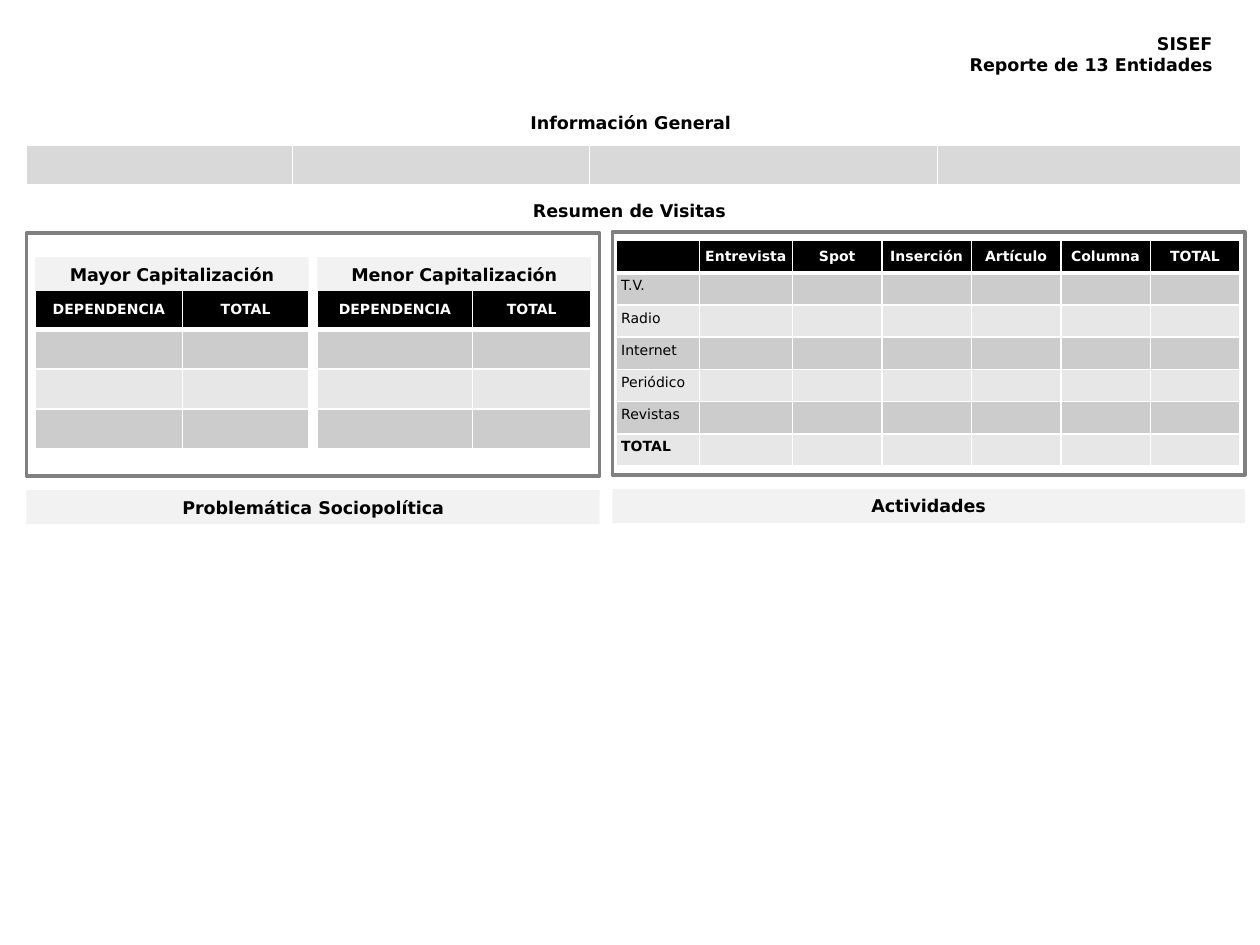
from lxml import etree
from pptx import Presentation
from pptx.dml.color import RGBColor
from pptx.enum.shapes import MSO_SHAPE
from pptx.enum.text import MSO_ANCHOR, PP_ALIGN
from pptx.oxml.ns import qn
from pptx.util import Inches, Pt

RECT = MSO_SHAPE.RECTANGLE
LEFT, CENTER, RIGHT = PP_ALIGN.LEFT, PP_ALIGN.CENTER, PP_ALIGN.RIGHT
TOP, MIDDLE = MSO_ANCHOR.TOP, MSO_ANCHOR.MIDDLE

BLACK = RGBColor(0x00, 0x00, 0x00)
WHITE = RGBColor(0xFF, 0xFF, 0xFF)
GRAY = RGBColor(0x80, 0x80, 0x80)
PALE = RGBColor(0xF2, 0xF2, 0xF2)
SILVER = RGBColor(0xD9, 0xD9, 0xD9)
BANDS = (RGBColor(0xCC, 0xCC, 0xCC), RGBColor(0xE7, 0xE7, 0xE7))

FONT = "DejaVu Sans"
TITLE_SIZE, CELL_SIZE = 10, 8
THIN, THICK = 1, 3
BAR_H = 0.27
LEFT_X, LEFT_W = 0.21, 4.55
RIGHT_X, RIGHT_W = 4.86, 5.02

MEDIA = ["T.V.", "Radio", "Internet", "Periódico", "Revistas", "TOTAL"]
KINDS = ["", "Entrevista", "Spot", "Inserción", "Artículo", "Columna", "TOTAL"]
RANKS = [
    ("Mayor Capitalización", 0.28, [1.17, 1.0]),
    ("Menor Capitalización", 2.52, [1.23, 0.94]),
]


def style(frame, size, color, bold, align):
    for para in frame.paragraphs:
        para.alignment = align
        for run in para.runs:
            font = run.font
            font.name, font.size, font.bold = FONT, Pt(size), bold
            font.color.rgb = color


def add_text(slide, text, x, y, w, h, align=CENTER):
    frame = slide.shapes.add_textbox(*map(Inches, (x, y, w, h))).text_frame
    frame.word_wrap = True
    frame.text = text
    style(frame, TITLE_SIZE, BLACK, True, align)


def add_rect(slide, x, y, w, h):
    shape = slide.shapes.add_shape(RECT, *map(Inches, (x, y, w, h)))
    shape.shadow.inherit = False
    return shape


def add_bar(slide, text, x, y, w):
    bar = add_rect(slide, x, y, w, BAR_H)
    bar.fill.solid()
    bar.fill.fore_color.rgb = PALE
    bar.line.fill.background()
    bar.text_frame.text = text
    style(bar.text_frame, TITLE_SIZE, BLACK, True, CENTER)


def add_frame(slide, x, y, w, h):
    box = add_rect(slide, x, y, w, h)
    box.fill.background()
    box.line.color.rgb = GRAY
    box.line.width = Pt(2)


def set_borders(cell, top, bottom):
    props = cell._tc.get_or_add_tcPr()
    sides = {"L": THIN, "R": THIN, "T": top, "B": bottom}
    for spot, (side, width) in enumerate(sides.items()):
        line = etree.Element(qn(f"a:ln{side}"), w=str(Pt(width)))
        fill = etree.SubElement(line, qn("a:solidFill"))
        etree.SubElement(fill, qn("a:srgbClr"), val=str(WHITE))
        props.insert(spot, line)


def fill_cell(cell, text, fill, color, bold, align, anchor):
    cell.margin_left = cell.margin_right = Inches(0.04)
    cell.margin_top = cell.margin_bottom = Inches(0.04)
    cell.vertical_anchor = anchor
    cell.fill.solid()
    cell.fill.fore_color.rgb = fill
    cell.text_frame.text = text
    style(cell.text_frame, CELL_SIZE, color, bold, align)
    if not text:
        # An empty cell needs its own text size, or its row grows
        etree.SubElement(cell.text_frame.paragraphs[0]._p,
                         qn("a:endParaRPr"), sz=str(CELL_SIZE * 100))


def add_grid(slide, x, y, widths, height, rows, head=BLACK):
    """Table with a head row over banded body rows."""
    table = slide.shapes.add_table(
        len(rows), len(widths), Inches(x), Inches(y),
        Inches(sum(widths)), Inches(height)).table
    table.first_row = table.horz_banding = False
    for col, width in zip(table.columns, widths):
        col.width = Inches(width)
    for r, row in enumerate(rows):
        table.rows[r].height = Inches(height / len(rows))
        for c, text in enumerate(row):
            cell = table.cell(r, c)
            if r == 0:
                fill_cell(cell, text, head, WHITE, True, CENTER, MIDDLE)
            else:
                fill_cell(cell, text, BANDS[(r - 1) % 2], BLACK,
                          text == "TOTAL", LEFT, TOP)
            set_borders(cell, THICK if r == 1 else THIN,
                        THICK if r == 0 else THIN)


def main():
    deck = Presentation()
    deck.slide_width, deck.slide_height = Inches(10), Inches(7.5)
    slide = deck.slides.add_slide(deck.slide_layouts[6])

    add_text(slide, "SISEF\nReporte de 13 Entidades",
             5.47, 0.21, 4.25, 0.44, RIGHT)
    add_text(slide, "Información General", 3.98, 0.84, 2.05, BAR_H)
    add_grid(slide, 0.21, 1.15, [2.11, 2.36, 2.76, 2.41], 0.33,
             [[""] * 4], SILVER)

    add_text(slide, "Resumen de Visitas", 3.97, 1.54, 2.05, BAR_H)
    blanks = [""] * (len(KINDS) - 1)
    add_grid(slide, 4.89, 1.91, [0.66, 0.74] + [0.71] * 5, 1.79,
             [KINDS] + [[name] + blanks for name in MEDIA])
    for title, x, widths in RANKS:
        add_grid(slide, x, 2.3, widths, 1.26,
                 [["DEPENDENCIA", "TOTAL"]] + [["", ""]] * 3)
        add_bar(slide, title, x, 2.04, sum(widths))
    add_frame(slide, LEFT_X, 1.85, LEFT_W, 1.93)
    add_frame(slide, RIGHT_X, 1.84, RIGHT_W, 1.93)

    add_bar(slide, "Problemática Sociopolítica", LEFT_X, 3.89, LEFT_W)
    add_bar(slide, "Actividades", RIGHT_X, 3.88, RIGHT_W)

    deck.save("out.pptx")


if __name__ == "__main__":
    main()
